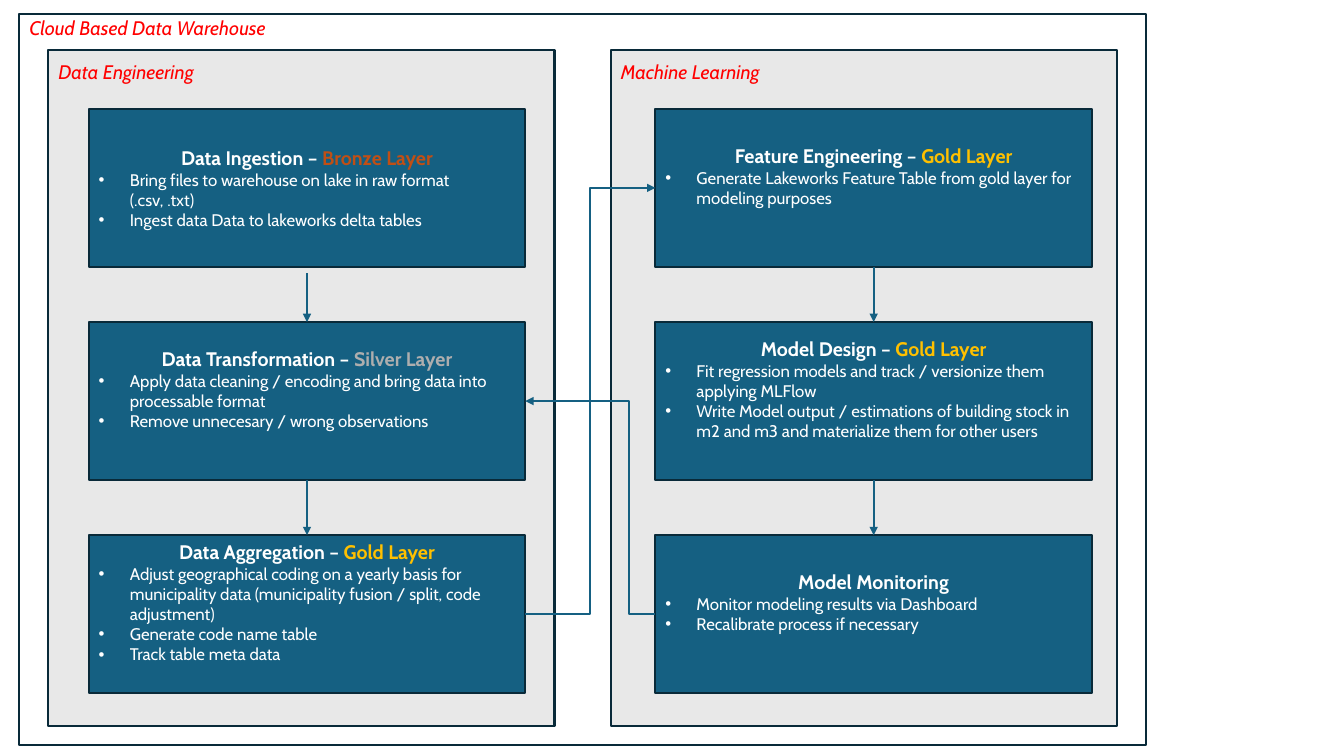
from dataclasses import dataclass

from lxml import etree
from pptx import Presentation
from pptx import util as u
from pptx.dml.color import RGBColor
from pptx.enum import shapes, text
from pptx.oxml.ns import qn

COLORS = {
    "ink": "092A39", "panel": "E8E8E8", "card": "156082", "label": "FF0000",
    "white": "FFFFFF", "bronze": "C04F15", "silver": "AEAEAE", "gold": "FFC000",
}
FONT = "Cabin"
HEAD_SIZE, LIST_SIZE = 14, 12
LINE_WIDTH = 1.5
LIST_INDENT = 0.31
HEAD_LINE = 0.24  # height of one heading line


@dataclass(frozen=True)
class Grid:
    """Equal cells: origin, pitch and cell size in inches."""
    left: float
    top: float
    column_pitch: float
    row_pitch: float
    width: float
    height: float

    def x(self, column: float) -> float:
        return self.left + column * self.column_pitch

    def y(self, row: float) -> float:
        return self.top + row * self.row_pitch

    def cell(self, column: int, row: int) -> tuple[float, ...]:
        return self.x(column), self.y(row), self.width, self.height


FRAME = (0.19, 0.14, 11.18, 7.25)
PANELS = Grid(0.48, 0.5, 5.58, 0, 5.02, 6.7)
CARDS = Grid(0.88, 1.08, 5.62, (5.31 - 1.08) / 2, 4.33, 1.57)


@dataclass(frozen=True)
class Card:
    column: int
    row: int
    heading: str
    layer: str
    bullets: tuple[str, ...]
    raised: bool = True  # text sits half a heading line above the middle


@dataclass(frozen=True)
class Elbow:
    start: tuple[int, int]
    end: tuple[int, int]
    bend: float  # share of the way at which the line turns


PANEL_LABELS = ("Data Engineering", "Machine Learning")
STEPS = (
    Card(0, 0, "Data Ingestion", "bronze", (
        "Bring files to warehouse on lake in raw format (.csv, .txt)",
        "Ingest data Data to lakeworks delta tables"), raised=False),
    Card(0, 1, "Data Transformation", "silver", (
        "Apply data cleaning / encoding and bring data into processable format",
        "Remove unnecesary / wrong observations")),
    Card(0, 2, "Data Aggregation", "gold", (
        "Adjust geographical coding on a yearly basis for municipality data "
        "(municipality fusion / split, code adjustment)",
        "Generate code name table",
        "Track table meta data")),
    Card(1, 0, "Feature Engineering", "gold", (
        "Generate Lakeworks Feature Table from gold layer for modeling purposes",)),
    Card(1, 1, "Model Design", "gold", (
        "Fit regression models and track / versionize them applying MLFlow",
        "Write Model output / estimations of building stock in m2 and m3 "
        "and materialize them for other users")),
    Card(1, 2, "Model Monitoring", "", (
        "Monitor modeling results via Dashboard",
        "Recalibrate process if necessary")),
)
ELBOWS = (Elbow((0, 2), (1, 0), 0.5), Elbow((1, 2), (0, 1), 0.204))


def rgb(name: str) -> RGBColor:
    return RGBColor.from_string(COLORS[name])


def add_span(para, words: str, size: float, color: str,
             bold: bool = False, italic: bool = False) -> None:
    span = para.add_run()
    span.text = words
    span.font.name = FONT
    span.font.size = u.Pt(size)
    span.font.bold = bold
    span.font.italic = italic
    span.font.color.rgb = rgb(color)


def add_box(page, place: tuple[float, ...], fill: str = ""):
    box = page.shapes.add_shape(shapes.MSO_SHAPE.RECTANGLE, *map(u.Inches, place))
    box.shadow.inherit = False
    if fill:
        box.fill.solid()
        box.fill.fore_color.rgb = rgb(fill)
    else:
        box.fill.background()
    box.line.color.rgb = rgb("ink")
    box.line.width = u.Pt(LINE_WIDTH)
    return box


def write_label(box, words: str) -> None:
    frame = box.text_frame
    frame.word_wrap = True
    frame.auto_size = text.MSO_AUTO_SIZE.NONE
    frame.vertical_anchor = text.MSO_ANCHOR.TOP
    para = frame.paragraphs[0]
    para.alignment = text.PP_ALIGN.LEFT
    add_span(para, words, HEAD_SIZE, "label", italic=True)


def add_bullet(para) -> None:
    props = para._p.get_or_add_pPr()
    props.set("marL", str(u.Inches(LIST_INDENT)))
    props.set("indent", str(-u.Inches(LIST_INDENT)))
    etree.SubElement(props, qn("a:buFont")).set("typeface", "Arial")
    etree.SubElement(props, qn("a:buChar")).set("char", "•")


def add_card(page, card: Card):
    box = add_box(page, CARDS.cell(card.column, card.row), "card")
    frame = box.text_frame
    frame.word_wrap = True
    frame.vertical_anchor = text.MSO_ANCHOR.MIDDLE
    if card.raised:
        frame.margin_bottom = u.Inches(0.05 + HEAD_LINE)
    para = frame.paragraphs[0]
    para.alignment = text.PP_ALIGN.CENTER
    dash = " – " if card.layer else ""
    add_span(para, card.heading + dash, HEAD_SIZE, "white", bold=True)
    if card.layer:
        add_span(para, f"{card.layer.title()} Layer", HEAD_SIZE, card.layer, bold=True)
    for bullet in card.bullets:
        para = frame.add_paragraph()
        para.alignment = text.PP_ALIGN.LEFT
        add_bullet(para)
        add_span(para, bullet, LIST_SIZE, "white")
    return box


def add_arrow(page, kind, ends: tuple[float, ...]):
    arrow = page.shapes.add_connector(kind, *map(u.Inches, ends))
    arrow.line.color.rgb = rgb("card")
    arrow.line.width = u.Pt(LINE_WIDTH)
    props = arrow._element.spPr
    etree.SubElement(props.find(qn("a:ln")), qn("a:tailEnd")).set("type", "triangle")
    etree.SubElement(props, qn("a:effectLst"))
    return arrow


def add_down_arrow(page, upper, lower, gap: float) -> None:
    middle = (upper.left + upper.width / 2) / u.Inches(1)
    start = (upper.top + upper.height) / u.Inches(1) + gap
    arrow = add_arrow(page, shapes.MSO_CONNECTOR.STRAIGHT,
                      (middle, start, middle, lower.top / u.Inches(1)))
    if not gap:
        arrow.begin_connect(upper, 2)
    arrow.end_connect(lower, 0)


def add_elbow(page, elbow: Elbow) -> None:
    def side(cell: tuple[int, int]) -> tuple[float, float]:
        left, top, width, height = CARDS.cell(*cell)
        return (left if cell[0] else left + width), top + height / 2

    arrow = add_arrow(page, shapes.MSO_CONNECTOR.ELBOW,
                      side(elbow.start) + side(elbow.end))
    guides = arrow._element.spPr.find(qn("a:prstGeom")).find(qn("a:avLst"))
    guide = etree.SubElement(guides, qn("a:gd"))
    guide.set("name", "adj1")
    guide.set("fmla", f"val {round(elbow.bend * 100000)}")


def main() -> None:
    deck = Presentation()
    deck.slide_width, deck.slide_height = u.Inches(13.33), u.Inches(7.5)
    page = deck.slides.add_slide(deck.slide_layouts[5])

    # Warehouse frame and title
    add_box(page, FRAME)
    title = page.shapes.title
    title.left, title.top, title.width, title.height = map(
        u.Inches, (FRAME[0], 0.11, 3.18, 0.34))
    write_label(title, "Cloud Based Data Warehouse")

    # Panels with their labels
    for column, words in enumerate(PANEL_LABELS):
        add_box(page, PANELS.cell(column, 0), "panel")
        place = (PANELS.x(column), 0.55, 2.33, 0.34)
        write_label(page.shapes.add_textbox(*map(u.Inches, place)), words)

    # Cards and the flow between them
    boxes = {(card.column, card.row): add_card(page, card) for card in STEPS}
    for (column, row), box in boxes.items():
        if row:
            gap = 0.06 if (column, row) == (0, 1) else 0
            add_down_arrow(page, boxes[column, row - 1], box, gap)
    for elbow in ELBOWS:
        add_elbow(page, elbow)

    deck.save("out.pptx")


if __name__ == "__main__":
    main()
